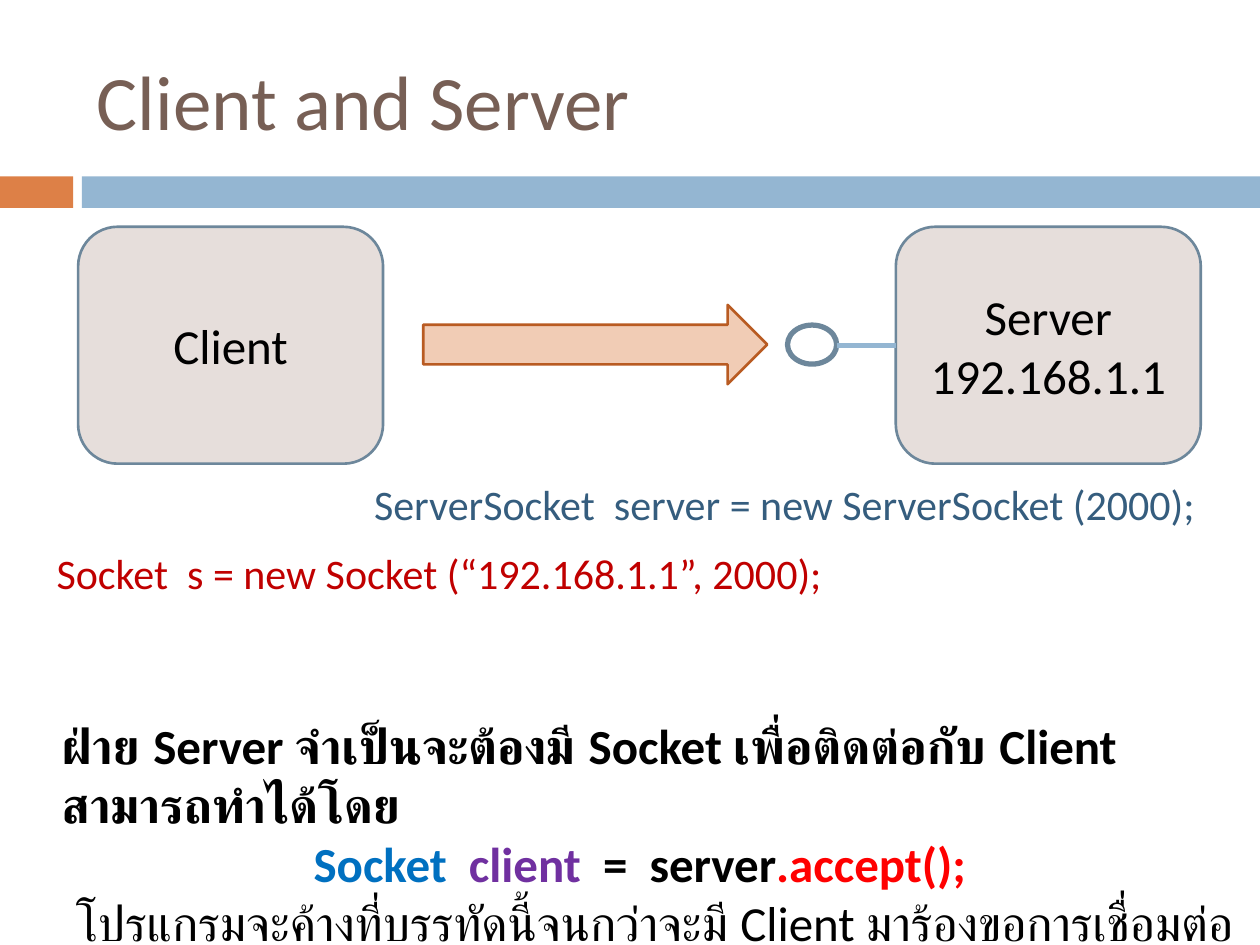
from pptx import Presentation
from pptx.dml.color import RGBColor
from pptx.enum.shapes import MSO_CONNECTOR, MSO_SHAPE as SHAPE
from pptx.enum.text import MSO_ANCHOR as ANCHOR, PP_ALIGN as ALIGN
from pptx.oxml.ns import qn
from pptx.util import Inches, Pt
from lxml import etree


def color(hex_value):
    return RGBColor.from_string(hex_value)


def add_figure(preset, box, fill, line=None, width=1.5):
    figure = slide.shapes.add_shape(preset, *map(Inches, box))
    figure.shadow.inherit = False
    figure.fill.solid()
    figure.fill.fore_color.rgb = color(fill)
    if line:
        figure.line.color.rgb = color(line)
        figure.line.width = Pt(width)
    else:
        figure.line.fill.background()
    return figure


prs = Presentation()
prs.slide_width, prs.slide_height = Inches(10), Inches(7.5)
slide = prs.slides.add_slide(prs.slide_layouts[6])

# Two-colour band under the title
add_figure(SHAPE.RECTANGLE, (0, 1.4, 0.58, 0.25), "DD8047")
add_figure(SHAPE.RECTANGLE, (0.65, 1.4, 9.35, 0.25), "94B6D2")

# Title and code lines
for text, box, size, ink, anchor, wrap in [
    ("Client and Server", (0.67, 0.25, 8.92, 1.08), 44, "775F55", ANCHOR.MIDDLE, True),
    ("ServerSocket  server = new ServerSocket (2000);",
     (2.87, 3.75, 6.78, 0.5), 24, "355D7E", ANCHOR.TOP, False),
    ("Socket  s = new Socket (“192.168.1.1”, 2000);",
     (0.35, 4.3, 6.31, 0.5), 24, "C00000", ANCHOR.TOP, False),
]:
    frame = slide.shapes.add_textbox(*map(Inches, box)).text_frame
    frame.word_wrap = wrap
    frame.vertical_anchor = anchor
    line = frame.paragraphs[0]
    line.text = text
    line.font.name, line.font.size = "Calibri", Pt(size)
    line.font.color.rgb = color(ink)

# Client and server
hosts = {}
for left, lines in [(0.62, ["Client"]), (7.11, ["Server", "192.168.1.1"])]:
    host = add_figure(SHAPE.ROUNDED_RECTANGLE, (left, 1.8, 2.42, 1.88), "E6DEDB", "6D879B")
    host.text_frame.text = "\n".join(lines)
    host.text_frame.vertical_anchor = ANCHOR.MIDDLE
    for line in host.text_frame.paragraphs:
        line.alignment = ALIGN.CENTER
        line.font.name, line.font.size = "Calibri", Pt(28)
        line.font.color.rgb = color("000000")
    hosts[lines[0]] = host

# Request arrow, port and its link to the server
add_figure(SHAPE.RIGHT_ARROW, (3.36, 2.42, 2.73, 0.63), "F1CCB5", "B95B22")
add_figure(SHAPE.OVAL, (6.25, 2.58, 0.39, 0.31), "FFFFFF", "6D879B", 3)
link = slide.shapes.add_connector(
    MSO_CONNECTOR.STRAIGHT, Inches(6.64), Inches(2.74), Inches(7.11), Inches(2.74))
link.end_connect(hosts["Server"], 1)
link.line.color.rgb = color("94B6D2")
link.line.width = Pt(3)
etree.SubElement(link._element.spPr, qn("a:effectLst"))

# Explanation of accept()
notes = slide.shapes.add_textbox(
    Inches(0.39), Inches(5.63), Inches(9.61), Inches(1.51)).text_frame
notes.word_wrap = True
explanation = [
    (True, [("ฝ่าย Server จำเป็นจะต้องมี Socket เพื่อติดต่อกับ Client สามารถทำได้โดย", "000000")]),
    (True, [("Socket  ", "0070C0"), ("client  ", "7030A0"),
            ("=  server", "000000"), (".accept();", "FF0000")]),
    (False, [("โปรแกรมจะค้างที่บรรทัดนี้จนกว่าจะมี Client มาร้องขอการเชื่อมต่อ", "000000")]),
]
for i, (bold, parts) in enumerate(explanation):
    line = notes.paragraphs[0] if i == 0 else notes.add_paragraph()
    line.font.name, line.font.size, line.font.bold = "Calibri", Pt(28), bold
    for text, ink in parts:
        run = line.add_run()
        run.text = text
        run.font.color.rgb = color(ink)
_, accept_call, blocking_note = notes.paragraphs
accept_call._p.get_or_add_pPr().set("marL", str(Inches(2)))
blocking_note.alignment = ALIGN.CENTER

prs.save("out.pptx")
